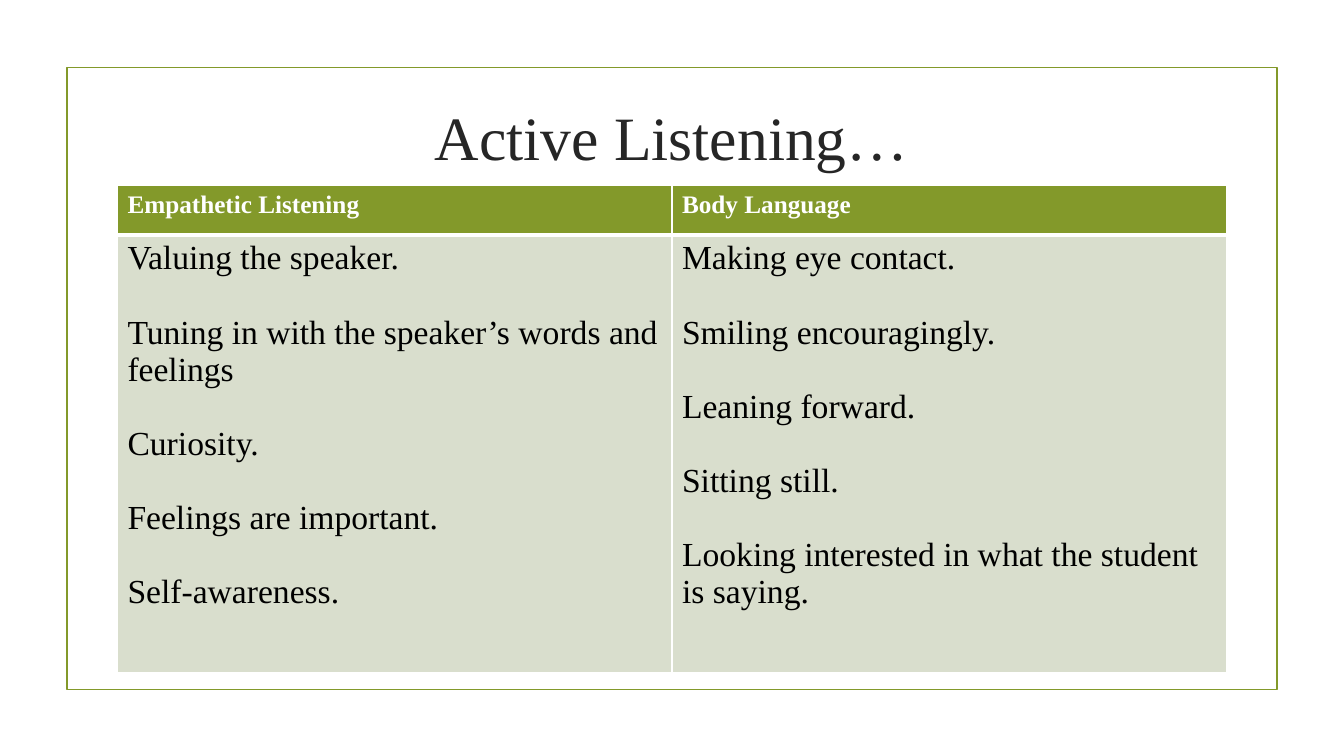
from lxml.etree import SubElement
from pptx import Presentation
from pptx.dml.color import RGBColor
from pptx.enum.shapes import MSO_SHAPE
from pptx.enum.text import MSO_ANCHOR, PP_ALIGN
from pptx.oxml.ns import qn
from pptx.util import Inches, Pt

GREEN, PALE, WHITE = "83992A", "D9DECD", "FFFFFF"
COLUMNS = {
    "Empathetic Listening": [
        "Valuing the speaker.",
        "Tuning in with the speaker’s words and feelings",
        "Curiosity.",
        "Feelings are important.",
        "Self-awareness.",
    ],
    "Body Language": [
        "Making eye contact.",
        "Smiling encouragingly.",
        "Leaning forward.",
        "Sitting still.",
        "Looking interested in what the student is saying.",
    ],
}


def rgb(color):
    return RGBColor.from_string(color)


def write(tf, text, size=24, color="000000", bold=False, align=PP_ALIGN.LEFT, gap=0):
    p = tf.paragraphs[0]
    if p.runs:
        p = tf.add_paragraph()
        p.space_before = Pt(gap)
    p.alignment = align
    r = p.add_run()
    r.text = text
    r.font.name = "Times New Roman"
    r.font.size = Pt(size)
    r.font.bold = bold
    r.font.color.rgb = rgb(color)


prs = Presentation()
prs.slide_width, prs.slide_height = Inches(13.33), Inches(7.5)
W = prs.slide_width
s = prs.slides.add_slide(prs.slide_layouts[6])

frame_w, title_w, table_w = Inches(12), Inches(10.5), Inches(11)
frame = s.shapes.add_shape(MSO_SHAPE.RECTANGLE, (W - frame_w) // 2, Inches(0.67), frame_w, Inches(6.17))
frame.shadow.inherit = False
frame.fill.background()
frame.line.color.rgb = rgb(GREEN)
frame.line.width = Pt(1.25)

title = s.shapes.add_textbox((W - title_w) // 2, Inches(0.63), title_w, Inches(1.43))
tf = title.text_frame
tf.word_wrap = True
tf.vertical_anchor = MSO_ANCHOR.MIDDLE
write(tf, "Active Listening…", size=44, color="262626", align=PP_ALIGN.CENTER)

row_heights = [Inches(0.49), Inches(4.34)]
table = s.shapes.add_table(2, len(COLUMNS), (W - table_w) // 2, Inches(1.84), table_w, sum(row_heights)).table
for row, height in zip(table.rows, row_heights):
    row.height = height

for i, (heading, points) in enumerate(COLUMNS.items()):
    table.columns[i].width = table_w // len(COLUMNS)
    header, body = table.cell(0, i), table.cell(1, i)
    write(header.text_frame, heading, size=18, color=WHITE, bold=True)
    for point in points:
        write(body.text_frame, point, gap=26.5)

    for cell, fill, thick_side in [(header, GREEN, "B"), (body, PALE, "T")]:
        tcPr = cell._tc.get_or_add_tcPr()
        for side in "LRTB":
            width = Pt(3 if side == thick_side else 1)
            ln = SubElement(tcPr, qn(f"a:ln{side}"), w=str(width))
            SubElement(SubElement(ln, qn("a:solidFill")), qn("a:srgbClr"), val=WHITE)
        cell.fill.solid()
        cell.fill.fore_color.rgb = rgb(fill)

prs.save("out.pptx")
